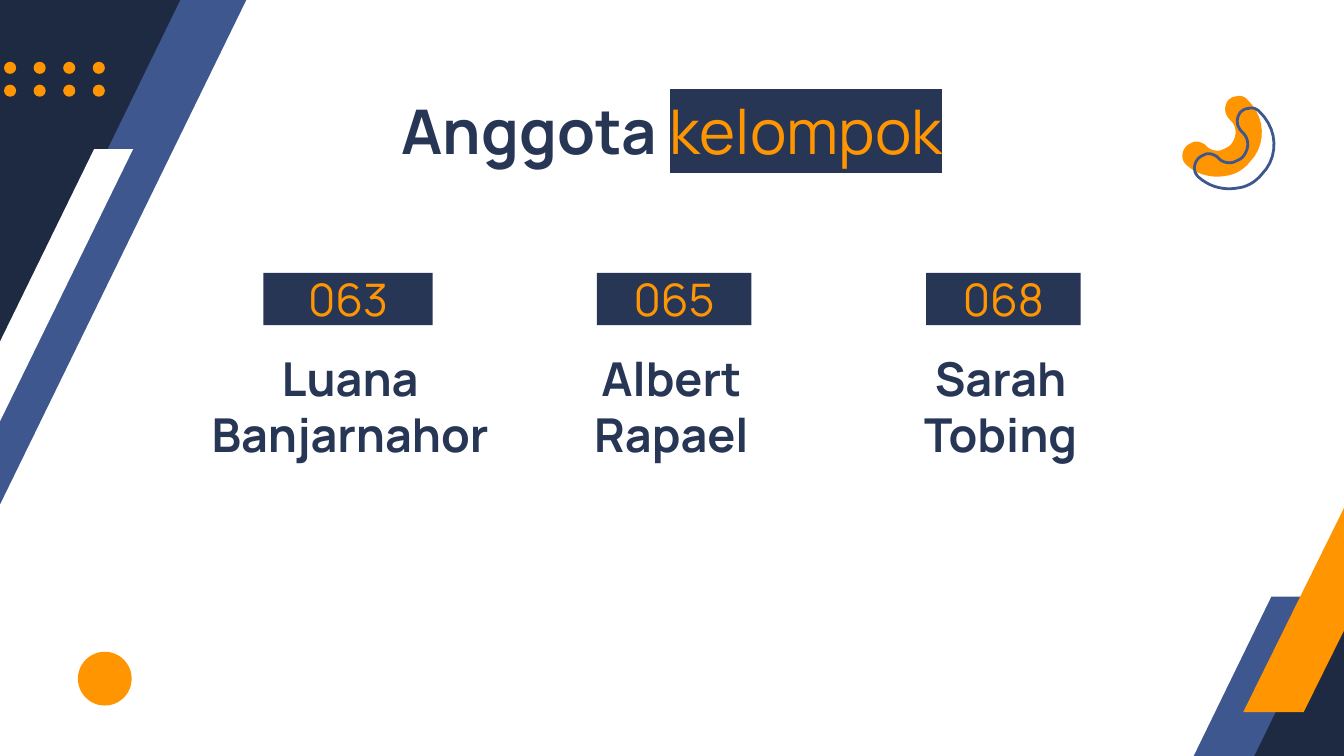
import math
from lxml import etree
from pptx import Presentation
from pptx import util as u
from pptx.dml.color import RGBColor
from pptx.enum import shapes, text
from pptx.oxml.ns import qn

COLORS = {"navy": "283656", "dark": "1E2942", "blue": "3F578F",
          "orange": "FF9500", "white": "FFFFFF"}
FONT = "Manrope"
TITLE = [("Anggota ", "navy", True, None), ("kelompok", "orange", False, "navy")]
MEMBERS = [
    ("063", 1.96, 1.26, "Luana Banjarnahor", 1.29, 2.63),
    ("065", 4.44, 1.15, "Albert Rapael", 3.92, 2.15),
    ("068", 6.89, 1.15, "Sarah Tobing", 6.37, 2.15),
]
BOTTOM_BANDS = [
    ("blue", [(9.46, 4.44), (8.87, 5.65), (9.32, 5.65), (9.91, 4.44)]),
    ("orange", [(10.04, 3.7), (9.25, 5.3), (9.7, 5.3), (10.49, 3.7)]),
]
TOP_BANDS = [
    ("dark", [(-0.46, 0), (-3.18, 5.63), (-1.03, 5.63), (0.55, 2.42), (1.74, 0)]),
    ("blue", [(1.66, -0.65), (-0.59, 3.96), (-0.1, 3.96), (2.15, -0.65)]),
    ("white", [(0.7, 1.11), (-0.63, 3.83), (-0.34, 3.83), (0.99, 1.11)]),
]
ARC_START = (9.2, 0.72)
ARC_CURVES = [
    ((9.18, 0.72), (9.16, 0.73), (9.14, 0.75)),
    ((9.11, 0.79), (9.11, 0.85), (9.15, 0.89)),
    ((9.21, 0.94), (9.21, 1.02), (9.16, 1.08)),
    ((9.14, 1.1), (9.11, 1.11), (9.09, 1.12)),
    ((9.05, 1.13), (9.0, 1.12), (8.97, 1.08)),
    ((8.94, 1.06), (8.91, 1.05), (8.88, 1.06)),
    ((8.86, 1.07), (8.84, 1.08), (8.83, 1.09)),
    ((8.81, 1.11), (8.8, 1.14), (8.8, 1.16)),
    ((8.8, 1.19), (8.81, 1.21), (8.83, 1.23)),
    ((8.92, 1.31), (9.03, 1.33), (9.13, 1.31)),
    ((9.2, 1.3), (9.26, 1.26), (9.3, 1.21)),
    ((9.43, 1.08), (9.42, 0.87), (9.28, 0.74)),
    ((9.26, 0.72), (9.23, 0.71), (9.2, 0.72)),
]
ARC_CENTER, ARC_TILT, ARC_SHIFT = (9.1, 1.02), 347.4, 0.09


def rgb(name):
    return RGBColor.from_string(COLORS[name])


def paint(sp, fill=None, line=None, width=1.5):
    sp.shadow.inherit = False
    if fill:
        sp.fill.solid()
        sp.fill.fore_color.rgb = rgb(fill)
    else:
        sp.fill.background()
    if line:
        sp.line.color.rgb = rgb(line)
        sp.line.width = u.Pt(width)
    else:
        sp.line.fill.background()
    return sp


def preset(s, kind, x, y, w, h, fill):
    sp = s.shapes.add_shape(kind, *map(u.Inches, (x, y, w, h)))
    return paint(sp, fill)


def outline(s, points, **look):
    pts = [(u.Inches(x), u.Inches(y)) for x, y in points]
    fb = s.shapes.build_freeform(*pts[0])
    fb.add_line_segments(pts[1:], close=True)
    return paint(fb.convert_to_shape(), **look)


def flatten(start, curves, steps=10):
    pts = [start]
    for a, b, c in curves:
        p0 = pts[-1]
        for i in range(1, steps + 1):
            t = i / steps
            pts.append(tuple(
                (1 - t) ** 3 * p0[k] + 3 * (1 - t) ** 2 * t * a[k]
                + 3 * (1 - t) * t ** 2 * b[k] + t ** 3 * c[k] for k in (0, 1)))
    return pts[:-1]


def turn(points, center, degrees):
    cx, cy = center
    co, si = math.cos(math.radians(degrees)), math.sin(math.radians(degrees))
    return [(cx + (x - cx) * co - (y - cy) * si,
             cy + (x - cx) * si + (y - cy) * co) for x, y in points]


def write(sp, runs, size, anchor=text.MSO_ANCHOR.TOP):
    tf = sp.text_frame
    tf.word_wrap = True
    tf.auto_size = text.MSO_AUTO_SIZE.NONE
    tf.vertical_anchor = anchor
    tf.margin_left = tf.margin_right = tf.margin_top = tf.margin_bottom = u.Inches(0.1)
    p = tf.paragraphs[0]
    p.alignment = text.PP_ALIGN.CENTER
    for words, color, bold, highlight in runs:
        r = p.add_run()
        r.text = words
        r.font.name, r.font.size, r.font.bold = FONT, u.Pt(size), bold
        r.font.color.rgb = rgb(color)
        if highlight:
            mark = etree.Element(qn("a:highlight"))
            etree.SubElement(mark, qn("a:srgbClr"), val=COLORS[highlight])
            r.font._element.find(qn("a:solidFill")).addnext(mark)


def decorate(s):
    corner = preset(s, shapes.MSO_SHAPE.RIGHT_TRIANGLE, 9.17, 4.25, 0.83, 1.46, "dark")
    corner._element.spPr.find(qn("a:xfrm")).set("flipH", "1")
    for color, points in BOTTOM_BANDS + TOP_BANDS:
        outline(s, points, fill=color)
    for row in range(2):
        for col in range(4):
            preset(s, shapes.MSO_SHAPE.OVAL, 0.03 + 0.22 * col, 0.46 + 0.17 * row,
                   0.09, 0.09, "orange")
    preset(s, shapes.MSO_SHAPE.OVAL, 0.58, 4.85, 0.4, 0.4, "orange")
    arc = turn(flatten(ARC_START, ARC_CURVES), ARC_CENTER, -ARC_TILT)
    shifted = [(x + ARC_SHIFT, y + ARC_SHIFT) for x, y in arc]
    for points, look in ((arc, {"fill": "orange"}), (shifted, {"line": "blue"})):
        outline(s, points, **look).rotation = ARC_TILT


def main():
    prs = Presentation()
    prs.slide_width = u.Inches(10)
    prs.slide_height = prs.slide_width * 9 // 16
    s = prs.slides.add_slide(prs.slide_layouts[5])
    s.background.fill.solid()
    s.background.fill.fore_color.rgb = rgb("white")
    decorate(s)
    title = s.shapes.title
    title.left, title.top, title.width, title.height = map(
        u.Inches, (0.78, 0.59, 8.44, 0.63))
    write(title, TITLE, 33)
    for number, badge_x, badge_w, name, name_x, name_w in MEMBERS:
        label = s.shapes.add_textbox(*map(u.Inches, (name_x, 2.5, name_w, 0.91)))
        write(label, [(name, "navy", True, None)], 25)
        badge = preset(s, shapes.MSO_SHAPE.RECTANGLE, badge_x, 2.03,
                       badge_w, 0.39, "navy")
        write(badge, [(number, "orange", False, None)], 24, text.MSO_ANCHOR.MIDDLE)
    prs.save("out.pptx")


if __name__ == "__main__":
    main()
